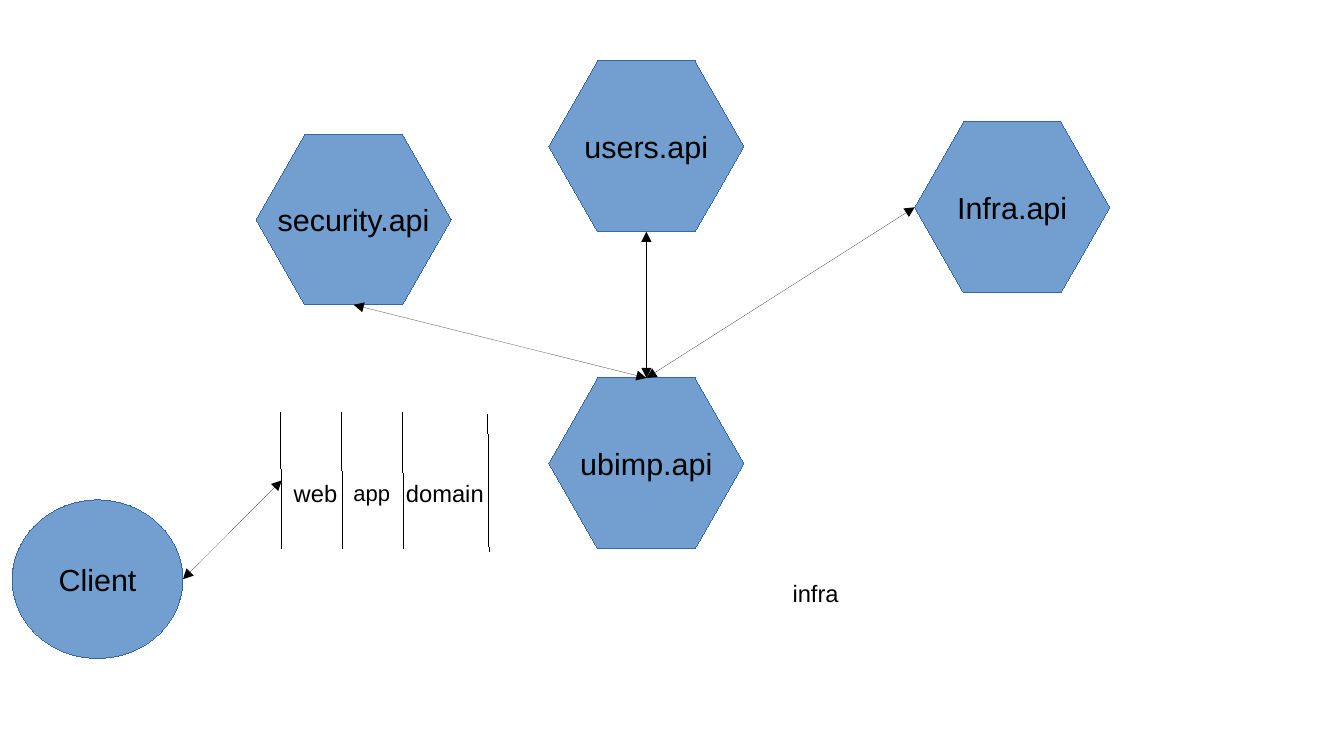
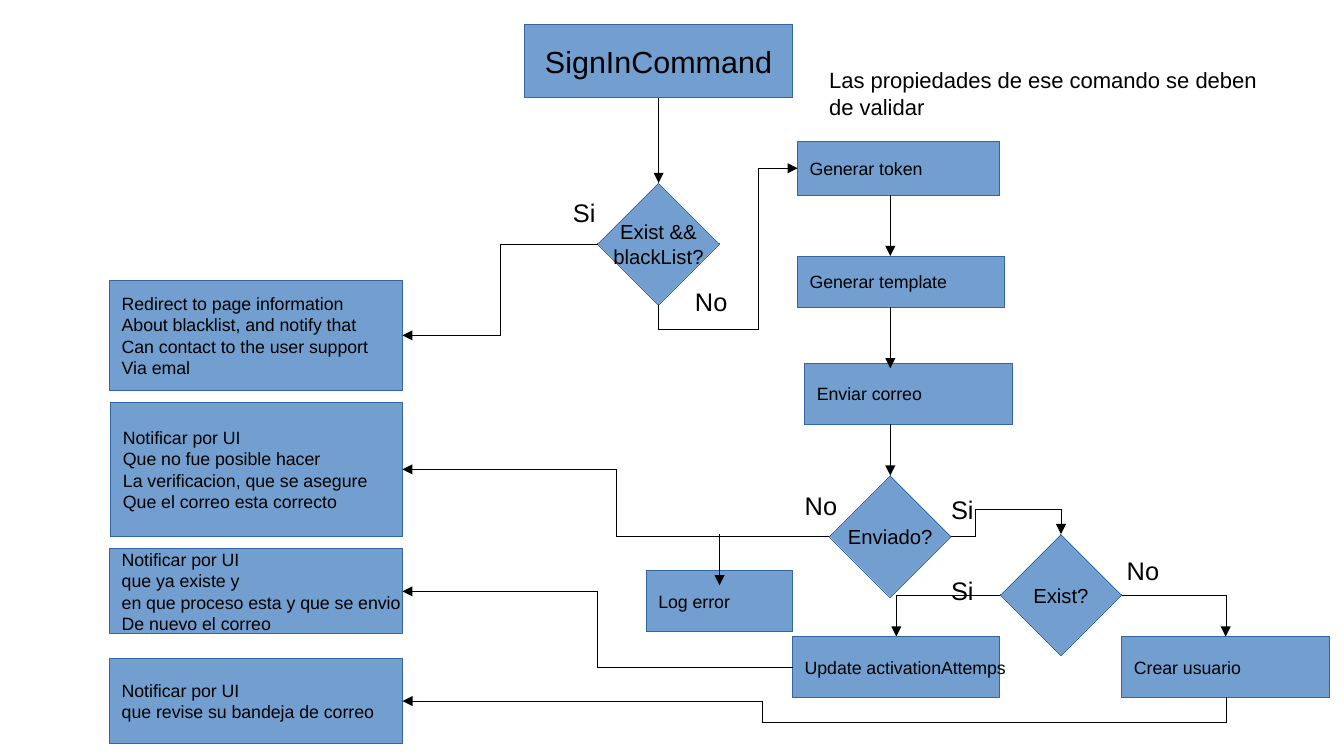
from pptx import Presentation, util as u
from pptx.dml.color import RGBColor
from pptx.enum import shapes, text
from pptx.oxml import ns
from lxml import etree

CELL = u.Inches(0.1)
COLS, ROWS = 110.2, 62
FONT = "Arial"
BLUE = RGBColor(0x72, 0x9F, 0xCF)
EDGE = RGBColor(0x34, 0x65, 0xA4)
BLACK = RGBColor(0, 0, 0)
RECT = shapes.MSO_SHAPE.RECTANGLE
HEX = shapes.MSO_SHAPE.HEXAGON
DIAMOND = shapes.MSO_SHAPE.DIAMOND
OVAL = shapes.MSO_SHAPE.OVAL
LEFT, MID = text.PP_ALIGN.LEFT, text.PP_ALIGN.CENTER
TOP, WEST, BASE, EAST = range(4)


def grid(*cells):
    return [round(n * CELL) for n in cells]


def write(frame, words, size, align, wrap=False):
    frame.text = words
    frame.word_wrap = wrap
    for para in frame.paragraphs:
        para.alignment = align
        for run in para.runs:
            run.font.name = FONT
            run.font.size = u.Pt(size)
            run.font.color.rgb = BLACK


def hair(shape, color):
    shape.line.color.rgb = color
    pen = shape._element.spPr.find(ns.qn("a:ln"))
    pen.set("w", "0")
    return pen


def node(slide, kind, at, words, size, align=MID):
    shape = slide.shapes.add_shape(kind, *grid(*at))
    shape.shadow.inherit = False
    shape.fill.solid()
    shape.fill.fore_color.rgb = BLUE
    hair(shape, EDGE)
    shape.text_frame.vertical_anchor = text.MSO_ANCHOR.MIDDLE
    write(shape.text_frame, words, size, align)
    return shape


def hexa(slide, col, row, words):
    shape = node(slide, HEX, (col, row, 16, 14), words, 18)
    shape.adjustments[0] = 0.286


def step(slide, at, words):
    return node(slide, RECT, at, words, 10.5, LEFT)


def test(slide, col, row, words):
    return node(slide, DIAMOND, (col, row, 10, 10), words, 12)


def label(slide, at, words, size, wrap=False):
    box = slide.shapes.add_textbox(*grid(*at))
    write(box.text_frame, words, size, LEFT, wrap)
    box.text_frame.auto_size = text.MSO_AUTO_SIZE.SHAPE_TO_FIT_TEXT


def ink(link, heads):
    pen = hair(link, BLACK)
    for tag in heads:
        etree.SubElement(pen, ns.qn("a:" + tag), type="triangle")
    etree.SubElement(link._element.spPr, ns.qn("a:effectLst"))


def line(slide, start, end, heads=("tailEnd",)):
    link = slide.shapes.add_connector(
        shapes.MSO_CONNECTOR.STRAIGHT, *grid(*start, *end))
    ink(link, heads)
    return link


def bend(slide, src, out, dst, into, *turns):
    link = slide.shapes.add_connector(shapes.MSO_CONNECTOR.ELBOW, 0, 0, 0, 0)
    link.begin_connect(src, out)
    link.end_connect(dst, into)
    start = link.begin_x, link.begin_y
    end = link.end_x, link.end_y
    dx, dy = end[0] - start[0], end[1] - start[1]
    down = out in (TOP, BASE)
    wide, high = (abs(dy), abs(dx)) if down else (abs(dx), abs(dy))
    link.left = (start[0] + end[0] - wide) // 2
    link.top = (start[1] + end[1] - high) // 2
    link.width, link.height = wide, high
    flips = (dy < 0, dx > 0) if down else (dx < 0, dy < 0)
    frame = link._element.spPr.find(ns.qn("a:xfrm"))
    frame.set("rot", "5400000" if down else "0")
    for name, flip in zip(("flipH", "flipV"), flips):
        frame.set(name, str(int(flip)))
    geom = link._element.spPr.find(ns.qn("a:prstGeom"))
    geom.set("prst", f"bentConnector{len(turns) + 2}")
    guides = geom.find(ns.qn("a:avLst"))
    if guides is None:
        guides = etree.SubElement(geom, ns.qn("a:avLst"))
    for i, turn in enumerate(turns):
        axis = (i + down) % 2
        share = (turn * CELL - start[axis]) / (end[axis] - start[axis])
        etree.SubElement(guides, ns.qn("a:gd"), name=f"adj{i + 1}",
                         fmla=f"val {round(share * 100000)}")
    ink(link, ("tailEnd",))


def services(slide):
    node(slide, OVAL, (1, 41, 14, 13), "Client", 18)
    for col, row, words in (
            (45, 31, "ubimp.api"), (45, 5, "users.api"),
            (75, 10, "Infra.api"), (21, 11, "security.api")):
        hexa(slide, col, row, words)
    for start, end in (
            ((23.1, 39.4), (15, 47.5)), ((75, 17), (53, 31)),
            ((53, 19), (53, 31)), ((29, 25), (53, 31))):
        line(slide, start, end, ("headEnd", "tailEnd"))
    for col, row in ((23, 33.8), (28, 33.8), (33, 33.8), (40, 34)):
        line(slide, (col + 0.1, row + 11.2), (col, row), ())
    for at, words, size in (
            ((23.1, 38.8, 5.6, 3.2), "web", 14),
            ((28, 38.8, 5, 3), "app", 13),
            ((32.3, 38.8, 8.4, 3.2), "domain", 14),
            ((64, 47, 5.8, 3.2), "infra", 14)):
        label(slide, at, words, size)


def flow(slide):
    sign = node(slide, RECT, (43, 2, 22, 6), "SignInCommand", 18)
    black = test(slide, 49, 15, "Exist &&\nblackList?")
    sent = test(slide, 68, 39, "Enviado?")
    exist = test(slide, 82, 43.8, "Exist?")
    token = step(slide, (65.4, 11.6, 16.6, 4.4), "Generar token")
    step(slide, (65.4, 21, 17, 4.2), "Generar template")
    step(slide, (66, 29.8, 17, 5), "Enviar correo")
    step(slide, (53, 46.8, 12, 5), "Log error")
    update = step(slide, (65, 52.2, 17, 5), "Update activationAttemps")
    user = step(slide, (92, 52.2, 17, 5), "Crear usuario")
    barred = step(slide, (9, 23, 24, 9),
                  "Redirect to page information\n"
                  "About blacklist, and notify that\n"
                  "Can contact to the user support\nVia emal")
    failed = step(slide, (9.1, 33, 23.9, 11),
                  "Notificar por UI\nQue no fue posible hacer\n"
                  "La verificacion, que se asegure\n"
                  "Que el correo esta correcto")
    again = step(slide, (9, 45, 24, 7),
                 "Notificar por UI\nque ya existe y\n"
                 "en que proceso esta y que se envio\nDe nuevo el correo")
    inbox = step(slide, (9, 54, 24, 7),
                 "Notificar por UI\nque revise su bandeja de correo")

    first = line(slide, (54, 8), (54, 15))
    first.begin_connect(sign, BASE)
    first.end_connect(black, TOP)
    for top, end in ((16, 21), (25.2, 30.2)):
        line(slide, (73, top), (73, end))
    line(slide, (73, 34.8), (73, 39)).end_connect(sent, TOP)
    line(slide, (59, 43.8), (59, 48))

    bend(slide, black, WEST, barred, EAST, 41)
    bend(slide, black, BASE, token, WEST, 27, 62.2)
    bend(slide, sent, WEST, failed, EAST, 50.5)
    bend(slide, sent, EAST, exist, TOP, 80, 41.8)
    bend(slide, exist, EAST, user, TOP)
    bend(slide, exist, WEST, update, TOP)
    bend(slide, update, WEST, again, EAST, 49)
    bend(slide, user, BASE, inbox, EAST, 59.2, 62.5)

    label(slide, (67, 5, 38, 6.6),
          "Las propiedades de ese comando se deben de validar", 13, True)
    for col, row in ((46, 15.7), (77, 40), (77, 46.7)):
        label(slide, (col, row, 4, 3.3), "Si", 15)
    for col, row in ((56, 23), (91.4, 45), (65, 39.7)):
        label(slide, (col, row, 4.8, 3.3), "No", 15)


def main():
    deck = Presentation()
    deck.slide_width, deck.slide_height = grid(COLS, ROWS)
    for draw in (services, flow):
        draw(deck.slides.add_slide(deck.slide_layouts[6]))
    deck.save("out.pptx")


if __name__ == "__main__":
    main()
